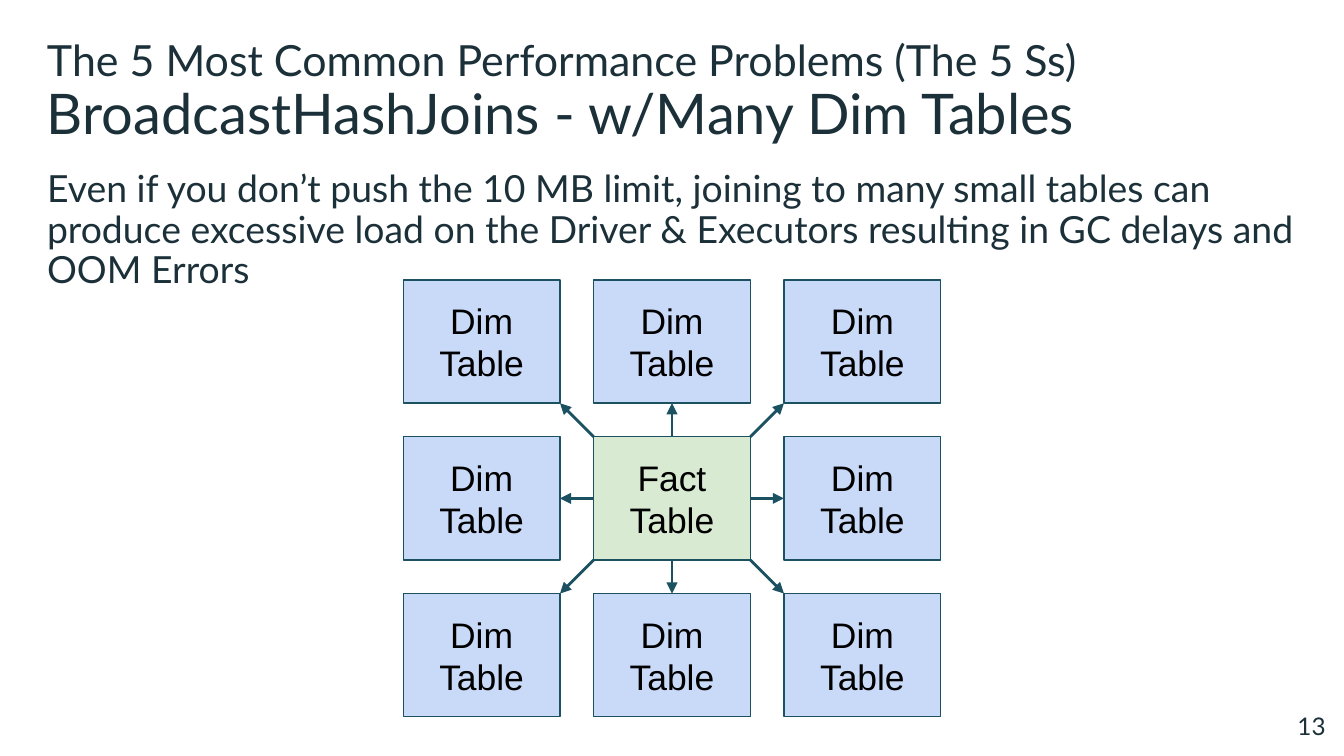
from itertools import product

from lxml import etree
from pptx import Presentation
from pptx import util as u
from pptx.dml.color import RGBColor
from pptx.enum import shapes, text
from pptx.oxml import ns

INK = RGBColor(0x1B, 0x30, 0x38)
BLACK = RGBColor(0x00, 0x00, 0x00)
TEAL = RGBColor(0x1B, 0x51, 0x61)
BLUE = RGBColor(0xC9, 0xDA, 0xF8)
GREEN = RGBColor(0xD9, 0xEA, 0xD3)

# Grid of tables, in points
GRID_LEFT, GRID_TOP = 216, 150
BOX_W, BOX_H, GAP = 84, 66, 18


class StarSlide:
    """Holds the style and the current page; all lengths are points."""

    heading_font = "Lato"
    box_font = "Arial"

    def __init__(self, page):
        self.page = page

    def fill_text(self, shape, lines, font, size, color, margins,
                  align=text.PP_ALIGN.LEFT, anchor=text.MSO_ANCHOR.TOP, spacing=None):
        frame = shape.text_frame
        left, top, right, bottom = (u.Pt(m) for m in margins)
        frame_format = {
            "word_wrap": True, "vertical_anchor": anchor,
            "margin_left": left, "margin_top": top,
            "margin_right": right, "margin_bottom": bottom,
        }
        for name, value in frame_format.items():
            setattr(frame, name, value)
        para = frame.paragraphs[0]
        para.alignment = align
        para.line_spacing = spacing
        for index, line in enumerate(lines):
            if index:
                para.add_line_break()
            span = para.add_run()
            span.text = line
            for name, value in {"name": font, "size": u.Pt(size)}.items():
                setattr(span.font, name, value)
            span.font.color.rgb = color

    def label(self, words, area, size, margins, **layout):
        box = self.page.shapes.add_textbox(*(u.Pt(v) for v in area))
        self.fill_text(box, [words], self.heading_font, size, INK, margins, **layout)

    def table_box(self, words, left, top, fill):
        box = self.page.shapes.add_shape(
            shapes.MSO_SHAPE.RECTANGLE, u.Pt(left), u.Pt(top), u.Pt(BOX_W), u.Pt(BOX_H))
        box.shadow.inherit = False
        box.fill.solid()
        box.fill.fore_color.rgb = fill
        box.line.color.rgb = TEAL
        box.line.width = u.Pt(0.75)
        self.fill_text(box, words, self.box_font, 19, BLACK, [7.2] * 4,
                       align=text.PP_ALIGN.CENTER, anchor=text.MSO_ANCHOR.MIDDLE)

    def arrow(self, start, end):
        line = self.page.shapes.add_connector(
            shapes.MSO_CONNECTOR.STRAIGHT, *(u.Pt(v) for v in (*start, *end)))
        line.line.color.rgb = TEAL
        line.line.width = u.Pt(1.5)
        etree.SubElement(line.line._get_or_add_ln(), ns.qn("a:tailEnd"), type="triangle")
        etree.SubElement(line._element.spPr, ns.qn("a:effectLst"))


def main():
    deck = Presentation()
    deck.slide_width, deck.slide_height = u.Pt(720), u.Pt(405)
    slide = StarSlide(deck.slides.add_slide(deck.slide_layouts[6]))

    # Headings and body
    heading_margins = (25.2, 0, 0, 0)
    slide.label("The 5 Most Common Performance Problems (The 5 Ss)",
                (0, 18, 720, 36), 23, heading_margins)
    slide.label("BroadcastHashJoins - w/Many Dim Tables",
                (0, 42, 720, 36), 30, heading_margins)
    slide.label("Even if you don’t push the 10 MB limit, joining to many small tables "
                "can produce excessive load on the Driver & Executors resulting in "
                "GC delays and OOM Errors",
                (25.2, 88.5, 694.8, 55.5), 20, (0, 2.88, 0, 2.88), spacing=0.9)

    # Fact table in the middle, one dim table and arrow in each direction
    fact_left = GRID_LEFT + BOX_W + GAP
    fact_top = GRID_TOP + BOX_H + GAP
    slide.table_box(["Fact", "Table"], fact_left, fact_top, GREEN)
    for dy, dx in product((-1, 0, 1), repeat=2):
        if dx == dy == 0:
            continue
        slide.table_box(["Dim", "Table"], fact_left + dx * (BOX_W + GAP),
                        fact_top + dy * (BOX_H + GAP), BLUE)
        x = fact_left + BOX_W * (1 + dx) / 2
        y = fact_top + BOX_H * (1 + dy) / 2
        slide.arrow((x, y), (x + dx * GAP, y + dy * GAP))

    # Page number
    slide.label("13", (674, 373.7, 43.2, 31), 13, [7.2] * 4, align=text.PP_ALIGN.RIGHT)

    deck.save("out.pptx")


if __name__ == "__main__":
    main()
